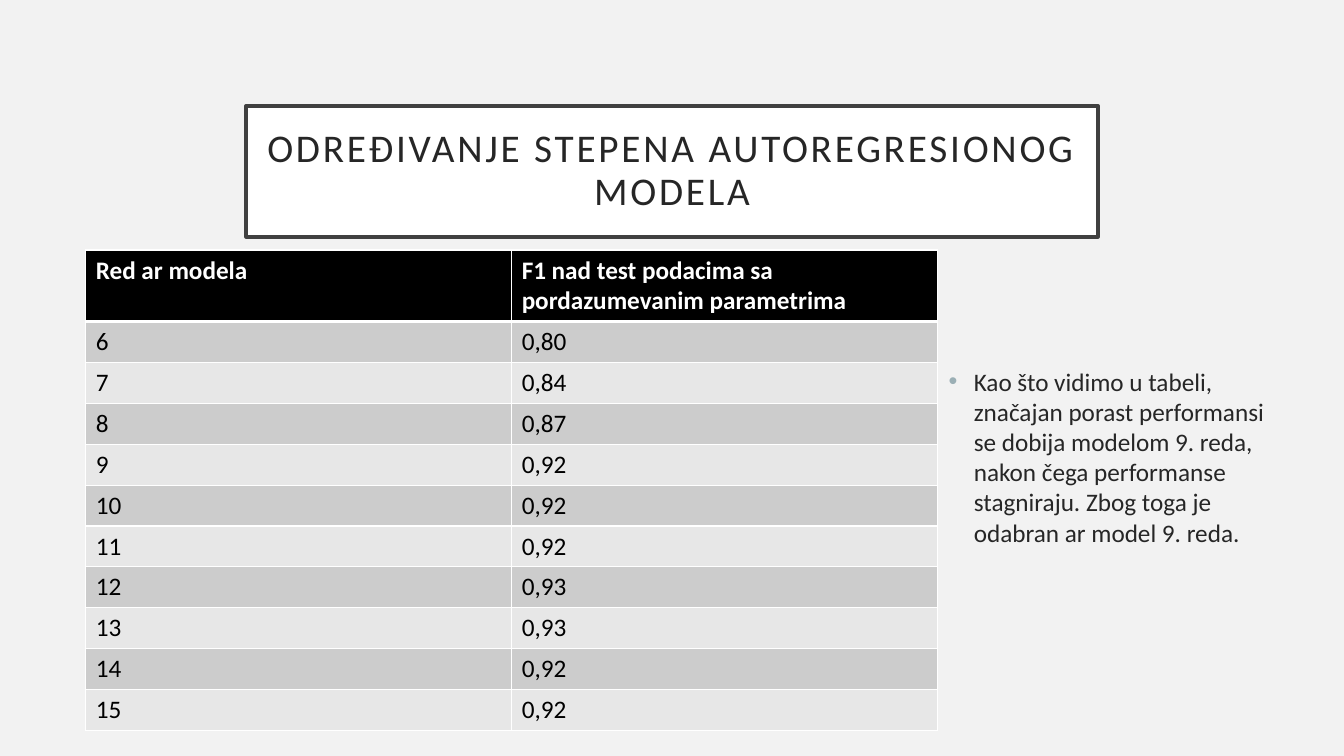
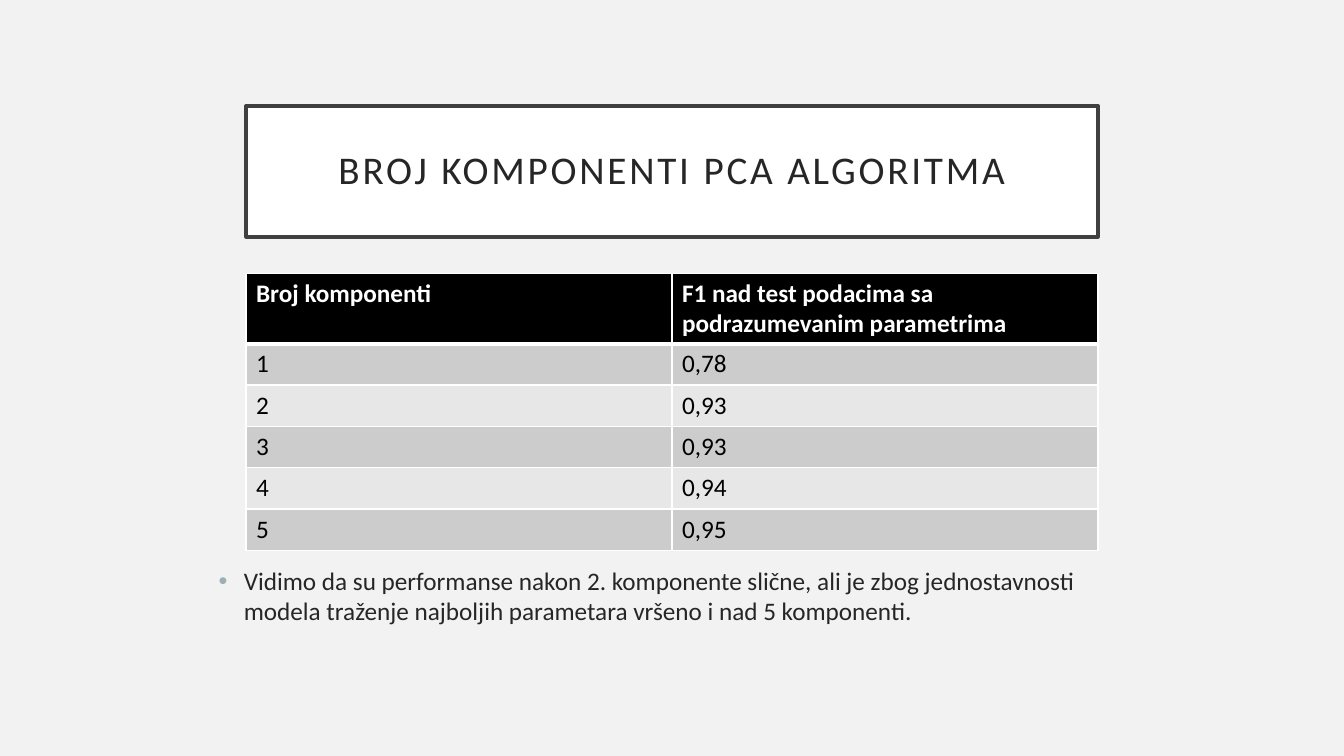
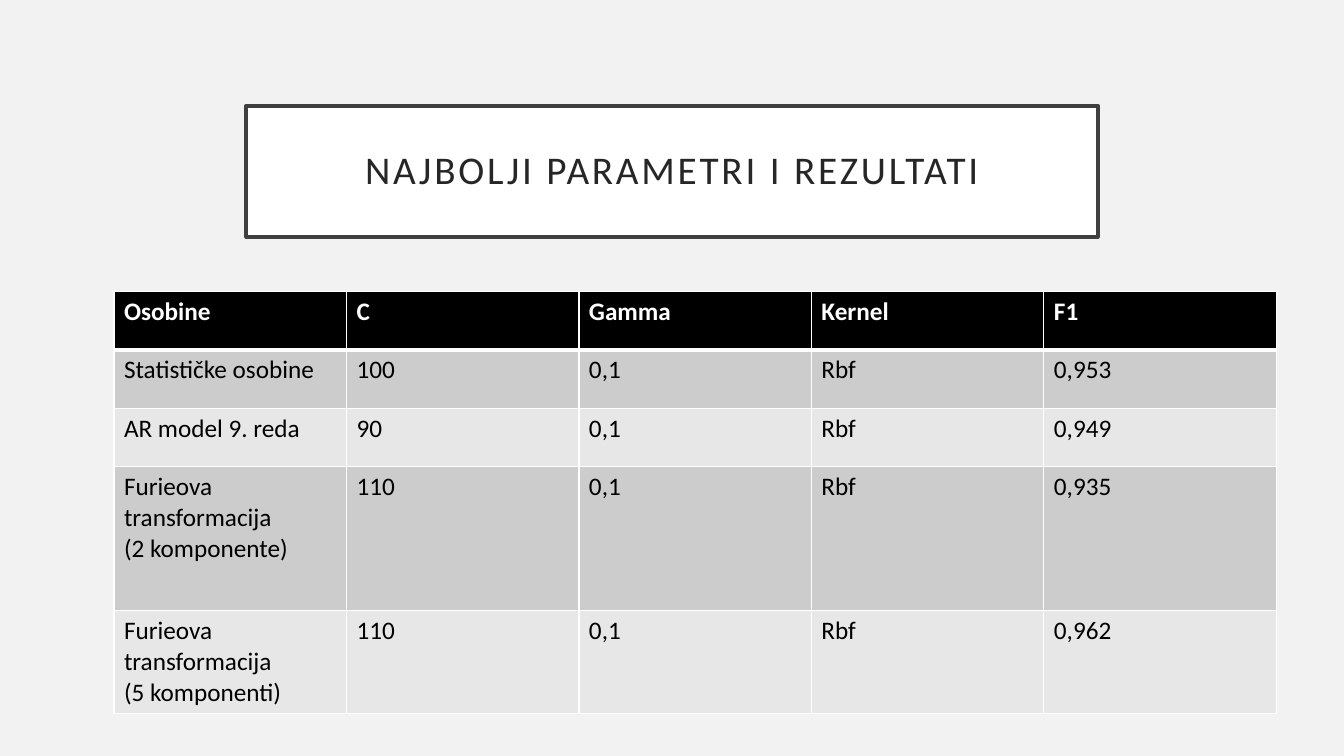
from lxml import etree
from pptx import Presentation
from pptx.dml.color import RGBColor
from pptx.enum import shapes, text
from pptx.oxml import ns
from pptx.util import Inches, Pt

PAPER = RGBColor(0xF2, 0xF2, 0xF2)
WHITE = RGBColor(0xFF, 0xFF, 0xFF)
BLACK = RGBColor(0x00, 0x00, 0x00)
FRAME = RGBColor(0x40, 0x40, 0x40)
INK = RGBColor(0x26, 0x26, 0x26)
BULLET = RGBColor(0x9B, 0xAF, 0xB5)
BANDS = [RGBColor(0xE7, 0xE7, 0xE7), RGBColor(0xCC, 0xCC, 0xCC)]
FONT = "Calibri"

# Content: title, table place (left, top, width), row heights, rows, note
SLIDES = [
    {
        "title": "ODREĐIVANJE STEPENA AUTOREGRESIONOG MODELA",
        "place": (0.85, 2.48, 8.45),
        "highs": [0.7] + [0.4] * 10,
        "rows": [
            ("Red ar modela", "F1 nad test podacima sa pordazumevanim parametrima"),
            ("6", "0,80"), ("7", "0,84"), ("8", "0,87"), ("9", "0,92"),
            ("10", "0,92"), ("11", "0,92"), ("12", "0,93"), ("13", "0,93"),
            ("14", "0,92"), ("15", "0,92"),
        ],
        "note": "Kao što vidimo u tabeli, značajan porast performansi se dobija "
                "modelom 9. reda, nakon čega performanse stagniraju. Zbog toga je "
                "odabran ar model 9. reda.",
        "box": (9.31, 3.58, 3.58, 2.52),
    },
    {
        "title": "BROJ KOMPONENTI PCA ALGORITMA",
        "place": (2.44, 2.71, 8.45),
        "highs": [0.7] + [0.41] * 5,
        "rows": [
            ("Broj komponenti", "F1 nad test podacima sa podrazumevanim parametrima"),
            ("1", "0,78"), ("2", "0,93"), ("3", "0,93"), ("4", "0,94"), ("5", "0,95"),
        ],
        "note": "Vidimo da su performanse nakon 2. komponente slične, ali je zbog "
                "jednostavnosti modela traženje najboljih parametara vršeno i nad "
                "5 komponenti.",
        "box": (2.07, 5.56, 9.44, 1.56),
    },
    {
        "title": "NAJBOLJI PARAMETRI I REZULTATI",
        "place": (1.13, 2.89, 11.53),
        "highs": [0.58, 0.58, 0.58, 1.43, 1.02],
        "rows": [
            ("Osobine", "C", "Gamma", "Kernel", "F1"),
            ("Statističke osobine", "100", "0,1", "Rbf", "0,953"),
            ("AR model 9. reda", "90", "0,1", "Rbf", "0,949"),
            ("Furieova transformacija\n(2 komponente)", "110", "0,1", "Rbf", "0,935"),
            ("Furieova transformacija\n(5 komponenti)", "110", "0,1", "Rbf", "0,962"),
        ],
    },
]


def add_run(para, words, size, color, bold=False):
    run = para.add_run()
    run.text = words
    run.font.name = FONT
    run.font.size = Pt(size)
    run.font.bold = bold
    run.font.color.rgb = color
    return run


def add_node(parent, tag, **attrs):
    node = etree.SubElement(parent, ns.qn(tag))
    for key, value in attrs.items():
        node.set(key, str(value))
    return node


deck = Presentation()
deck.slide_width = Inches(13.33)
deck.slide_height = Inches(7.5)
back = deck.slide_master.background.fill
back.solid()
back.fore_color.rgb = PAPER

for page in SLIDES:
    slide = deck.slides.add_slide(deck.slide_layouts[6])

    # Framed title
    title = slide.shapes.add_shape(shapes.MSO_SHAPE.RECTANGLE, Inches(2.44),
                                   Inches(1.05), Inches(8.45), Inches(1.3))
    title.shadow.inherit = False
    title.fill.solid()
    title.fill.fore_color.rgb = WHITE
    title.line.color.rgb = FRAME
    title.line.width = Pt(2.5)
    frame = title.text_frame
    frame.word_wrap = True
    frame.vertical_anchor = text.MSO_ANCHOR.MIDDLE
    frame.margin_left = frame.margin_right = Inches(0.2)
    frame.margin_top = frame.margin_bottom = Inches(0.2)
    para = frame.paragraphs[0]
    para.alignment = text.PP_ALIGN.CENTER
    para.line_spacing = 0.9
    run = add_run(para, page["title"], 28, INK)
    run.font._element.set("spc", "200")

    # Table with a dark header and banded rows
    rows, highs = page["rows"], page["highs"]
    left, top, width = page["place"]
    table = slide.shapes.add_table(len(rows), len(rows[0]), Inches(left), Inches(top),
                                   Inches(width), Inches(sum(highs))).table
    for i, row in enumerate(rows):
        table.rows[i].height = Inches(highs[i])
        head = i == 0
        for j, words in enumerate(row):
            cell = table.cell(i, j)
            props = cell._tc.get_or_add_tcPr()
            for side in "LRTB":
                thick = (i, side) in [(0, "B"), (1, "T")]
                edge = add_node(props, f"a:ln{side}", w=Pt(3 if thick else 1))
                add_node(add_node(edge, "a:solidFill"), "a:srgbClr", val=WHITE)
            cell.fill.solid()
            cell.fill.fore_color.rgb = BLACK if head else BANDS[i % 2]
            for k, line in enumerate(words.split("\n")):
                frame = cell.text_frame
                para = frame.add_paragraph() if k else frame.paragraphs[0]
                add_run(para, line, 18, WHITE if head else BLACK, head)

    # Bulleted note
    if "note" in page:
        note = slide.shapes.add_textbox(*[Inches(n) for n in page["box"]])
        note.text_frame.word_wrap = True
        para = note.text_frame.paragraphs[0]
        para.space_before = Pt(10)
        props = para._p.get_or_add_pPr()
        props.set("marL", str(Inches(0.25)))
        props.set("indent", str(-Inches(0.25)))
        add_node(add_node(props, "a:buClr"), "a:srgbClr", val=BULLET)
        add_node(props, "a:buFont", typeface="Arial")
        add_node(props, "a:buChar", char="•")
        add_run(para, page["note"], 18, INK)

deck.save("out.pptx")
